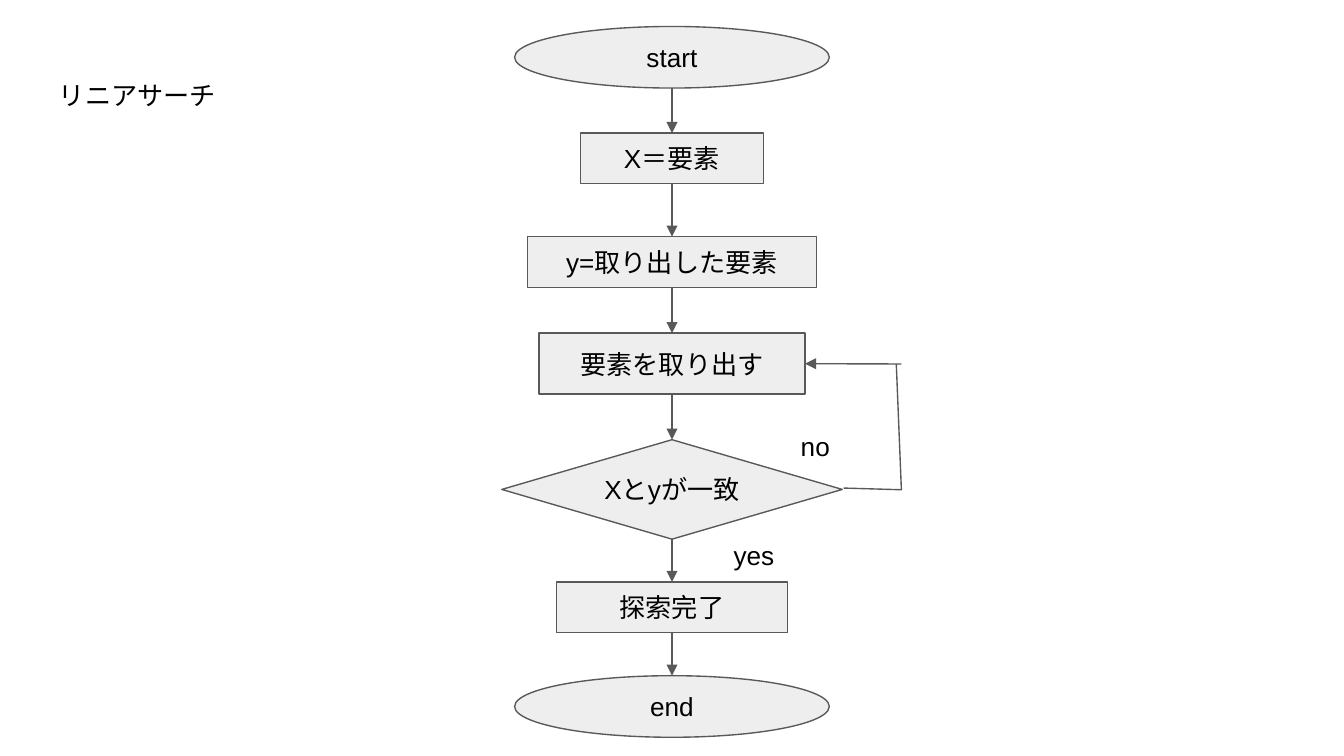
from lxml.etree import SubElement
from pptx import Presentation
from pptx.dml.color import RGBColor
from pptx.enum.shapes import MSO_CONNECTOR, MSO_SHAPE
from pptx.enum.text import MSO_ANCHOR, PP_ALIGN
from pptx.oxml.ns import qn
from pptx.util import Pt

# Content: kind, text, top, width, height of each step, from top to bottom
STEPS = [
    ("terminal", "start", 14.2, 168.6, 33),
    ("process", "X＝要素", 71.3, 98, 27.2),
    ("process", "y=取り出した要素", 126.8, 154.8, 27.2),
    ("process", "要素を取り出す", 178.5, 142.6, 32.7),
    ("decision", "Xとyが一致", 235.6, 182.4, 53.3),
    ("process", "探索完了", 311.8, 124, 27.2),
    ("terminal", "end", 362, 168.6, 33),
]
# Text, left, top, width, height
LABELS = [
    ("リニアサーチ", 24.5, 35.3, 221, 67),
    ("yes", 385.9, 281.5, 51.8, 23),
    ("no", 421.9, 223.2, 44, 18.7),
]
LOOP_TARGET = 3
LOOP_POINTS = [(452, 261.5), (482.9, 262.4), (480.2, 195)]
LOOP_ARROW_START = (482.9, 195)

THEME = {
    "fill": RGBColor.from_string("EEEEEE"),
    "line": RGBColor.from_string("595959"),
    "text": RGBColor.from_string("000000"),
    "font": "Arial",
    "size": Pt(14),
    "line_width": Pt(0.75),
    "inset": Pt(7.2),
}
SHAPES = {
    "terminal": MSO_SHAPE.OVAL,
    "process": MSO_SHAPE.RECTANGLE,
    "decision": MSO_SHAPE.FLOWCHART_DECISION,
}
SLIDE_WIDTH, SLIDE_HEIGHT = 720, 405
CENTER = SLIDE_WIDTH / 2
TOP, BOTTOM, RIGHT = 0, 2, 3


def set_text(shape, text, alignment, anchor):
    frame = shape.text_frame
    frame.text = text
    frame.word_wrap = True
    frame.vertical_anchor = anchor
    frame.margin_left = frame.margin_right = THEME["inset"]
    frame.margin_top = frame.margin_bottom = THEME["inset"]
    paragraph = frame.paragraphs[0]
    paragraph.alignment = alignment
    font = paragraph.runs[0].font
    font.name, font.size = THEME["font"], THEME["size"]
    font.color.rgb = THEME["text"]


def style_line(line):
    line.color.rgb = THEME["line"]
    line.width = THEME["line_width"]


def add_step(slide, kind, text, top, width, height):
    shape = slide.shapes.add_shape(
        SHAPES[kind], Pt(CENTER - width / 2), Pt(top), Pt(width), Pt(height))
    shape.shadow.inherit = False
    shape.fill.solid()
    shape.fill.fore_color.rgb = THEME["fill"]
    style_line(shape.line)
    set_text(shape, text, PP_ALIGN.CENTER, MSO_ANCHOR.MIDDLE)
    return shape


def add_arrow(slide, start, end):
    arrow = slide.shapes.add_connector(
        MSO_CONNECTOR.STRAIGHT, *(Pt(value) for value in (*start, *end)))
    style_line(arrow.line)
    SubElement(arrow.line._get_or_add_ln(), qn("a:tailEnd"), type="triangle")
    SubElement(arrow._element.spPr, qn("a:effectLst"))
    return arrow


def main():
    presentation = Presentation()
    presentation.slide_width = Pt(SLIDE_WIDTH)
    presentation.slide_height = Pt(SLIDE_HEIGHT)
    slide = presentation.slides.add_slide(presentation.slide_layouts[6])

    # Steps down the centre line
    shapes = [add_step(slide, *step) for step in STEPS]

    # Arrows between neighbouring steps
    for index in range(len(STEPS) - 1):
        kind, _, top, _, height = STEPS[index]
        next_top = STEPS[index + 1][2]
        arrow = add_arrow(slide, (CENTER, top + height), (CENTER, next_top))
        if kind != "terminal":  # an ellipse numbers its sites differently
            arrow.begin_connect(shapes[index], BOTTOM)
        arrow.end_connect(shapes[index + 1], TOP)

    # Loop back from the decision
    points = [(Pt(x), Pt(y)) for x, y in LOOP_POINTS]
    builder = slide.shapes.build_freeform(*points[0])
    builder.add_line_segments(points[1:], close=False)
    loop = builder.convert_to_shape()
    loop.shadow.inherit = False
    loop.fill.background()
    style_line(loop.line)

    _, _, top, width, height = STEPS[LOOP_TARGET]
    loop_end = (CENTER + width / 2, top + height / 2)
    arrow = add_arrow(slide, LOOP_ARROW_START, loop_end)
    arrow.end_connect(shapes[LOOP_TARGET], RIGHT)

    # Title and branch labels
    for text, *box in LABELS:
        label = slide.shapes.add_textbox(*(Pt(value) for value in box))
        set_text(label, text, PP_ALIGN.LEFT, MSO_ANCHOR.TOP)

    presentation.save("out.pptx")


if __name__ == "__main__":
    main()
